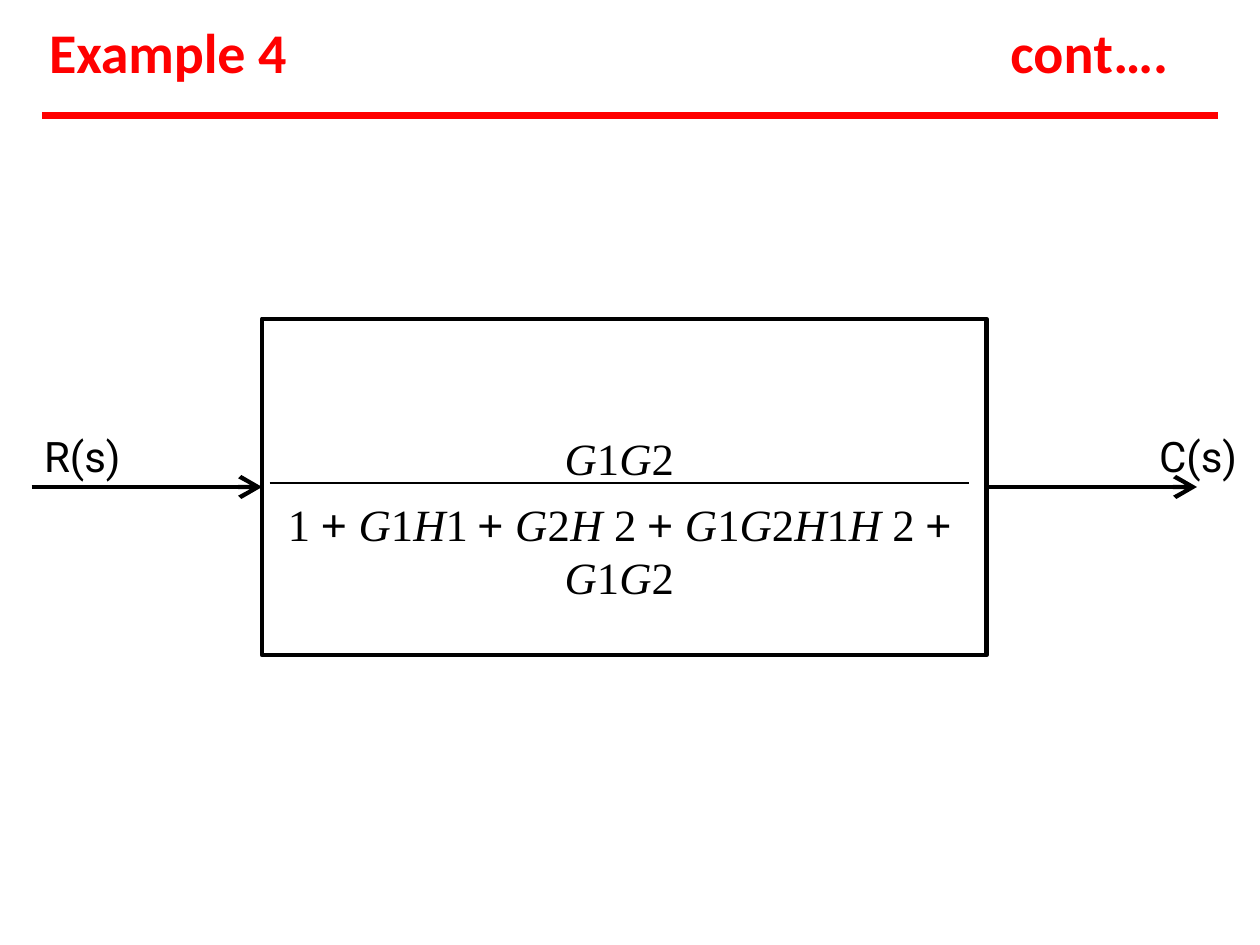
import itertools

import pptx
import pptx.dml.color
import pptx.enum.shapes
import pptx.enum.text
import pptx.oxml
import pptx.oxml.ns
import pptx.util

SLIDE_W, SLIDE_H = 10, 7.5
BLACK, RED = "000000", "FF0000"

HEADINGS = [
    (0.38, 1.92, [("Example ", -0.1), ("4", 0)]),
    (8.01, 1.28, [("co", -0.1), ("n", -0.3), ("t", 0.1), ("….", 0)]),
]
SIGNALS = [(0.34, 0.64, [("R(s)", 0)]), (9.19, 0.63, [("C(s)", 0)])]
PLUS = ("+ ", -0.4)
NUMERATOR = [("G1G2", -1.2)]
DENOMINATOR = [
    ("1 ", -0.3), PLUS,
    ("G1H1 ", -1), PLUS,
    ("G2H ", 0.1), ("2 ", -0.3), PLUS,
    ("G1G2H1H ", -0.9), ("2 ", -0.3), PLUS,
    ("G1G2", -1.3),
]

BLOCK_LEFT, BLOCK_TOP, BLOCK_W, BLOCK_H = 2.08, 2.53, 5.75, 2.67
BLOCK_RIGHT = BLOCK_LEFT + BLOCK_W
FLOW_Y = BLOCK_TOP + BLOCK_H / 2
RULE_Y, RULE_MARGIN = 0.92, SLIDE_W / 30

inch = pptx.util.Inches
pt = pptx.util.Pt


def color(value):
    return pptx.dml.color.RGBColor.from_string(value)


def set_margins(frame, left=0, top=0, right=0, bottom=0):
    frame.margin_left, frame.margin_top = inch(left), inch(top)
    frame.margin_right, frame.margin_bottom = inch(right), inch(bottom)
    frame.vertical_anchor = pptx.enum.text.MSO_ANCHOR.TOP


def add_run(paragraph, words, spacing, font_name, size, hue, bold=False, italic=False):
    run = paragraph.add_run()
    run.text = words
    run.font.name, run.font.size = font_name, pt(size)
    run.font.bold, run.font.italic = bold, italic
    run.font.color.rgb = color(hue)
    run.font._element.set("spc", str(round(spacing * 100)))


def add_label(slide, left, top, width, height, pieces, font_name, size, hue, bold=False):
    label = slide.shapes.add_textbox(inch(left), inch(top), inch(width), inch(height))
    frame = label.text_frame
    frame.word_wrap = False
    set_margins(frame, left=0.01, top=0.02)
    for words, spacing in pieces:
        add_run(frame.paragraphs[0], words, spacing, font_name, size, hue, bold)


def add_terms(paragraph, terms):
    paragraph.alignment = pptx.enum.text.PP_ALIGN.CENTER
    for term, spacing in terms:
        font_name = "Arial" if "+" in term else "Times New Roman"
        for is_variable, letters in itertools.groupby(term, lambda c: c in "GH"):
            add_run(paragraph, "".join(letters), spacing, font_name, 25.5, BLACK,
                    italic=is_variable)


def add_line(slide, x1, x2, y, hue, width, arrow=False):
    line = slide.shapes.add_connector(
        pptx.enum.shapes.MSO_CONNECTOR.STRAIGHT, inch(x1), inch(y), inch(x2), inch(y))
    line.line.color.rgb = color(hue)
    line.line.width = pt(width)
    if arrow:
        line.line._get_or_add_ln().append(pptx.oxml.parse_xml(
            '<a:tailEnd %s type="arrow" w="lg" len="lg"/>' % pptx.oxml.ns.nsdecls("a")))
    line._element.spPr.append(pptx.oxml.parse_xml(
        "<a:effectLst %s/>" % pptx.oxml.ns.nsdecls("a")))
    return line


def add_block(slide):
    block = slide.shapes.add_shape(
        pptx.enum.shapes.MSO_SHAPE.RECTANGLE,
        inch(BLOCK_LEFT), inch(BLOCK_TOP), inch(BLOCK_W), inch(BLOCK_H))
    block.shadow.inherit = False
    block.fill.background()
    block.line.color.rgb = color(BLACK)
    block.line.width = pt(2.52)
    frame = block.text_frame
    frame.word_wrap = True
    set_margins(frame, top=0.89, right=0.08)
    add_terms(frame.paragraphs[0], NUMERATOR)
    denominator = frame.add_paragraph()
    denominator.space_before = pt(7)
    add_terms(denominator, DENOMINATOR)
    return block


def main():
    deck = pptx.Presentation()
    deck.slide_width, deck.slide_height = inch(SLIDE_W), inch(SLIDE_H)
    slide = deck.slides.add_slide(deck.slide_layouts[6])

    for left, width, pieces in HEADINGS:
        add_label(slide, left, 0.12, width, 0.56, pieces, "Calibri", 32, RED, bold=True)
    add_line(slide, RULE_MARGIN, SLIDE_W - RULE_MARGIN, RULE_Y, RED, 3.96)

    block = add_block(slide)
    add_line(slide, 2.14, 7.69, 3.83, BLACK, 1.22)
    input_arrow = add_line(slide, 0.25, BLOCK_LEFT, FLOW_Y, BLACK, 2.5, arrow=True)
    input_arrow.end_connect(block, 1)
    output_arrow = add_line(slide, BLOCK_RIGHT, 9.5, FLOW_Y, BLACK, 2.5, arrow=True)
    output_arrow.begin_connect(block, 3)
    for left, width, pieces in SIGNALS:
        add_label(slide, left, 3.4, width, 0.43, pieces, "Roboto", 24, BLACK)

    deck.save("out.pptx")


if __name__ == "__main__":
    main()
